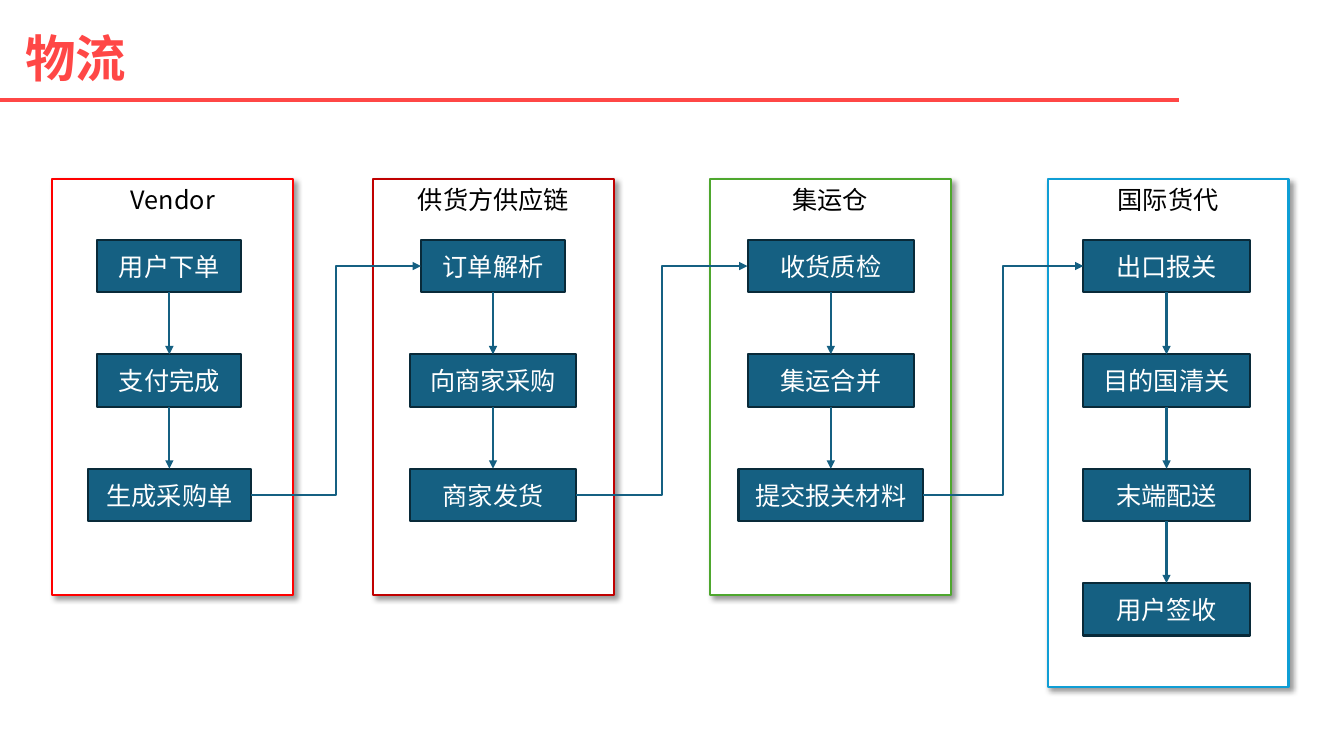
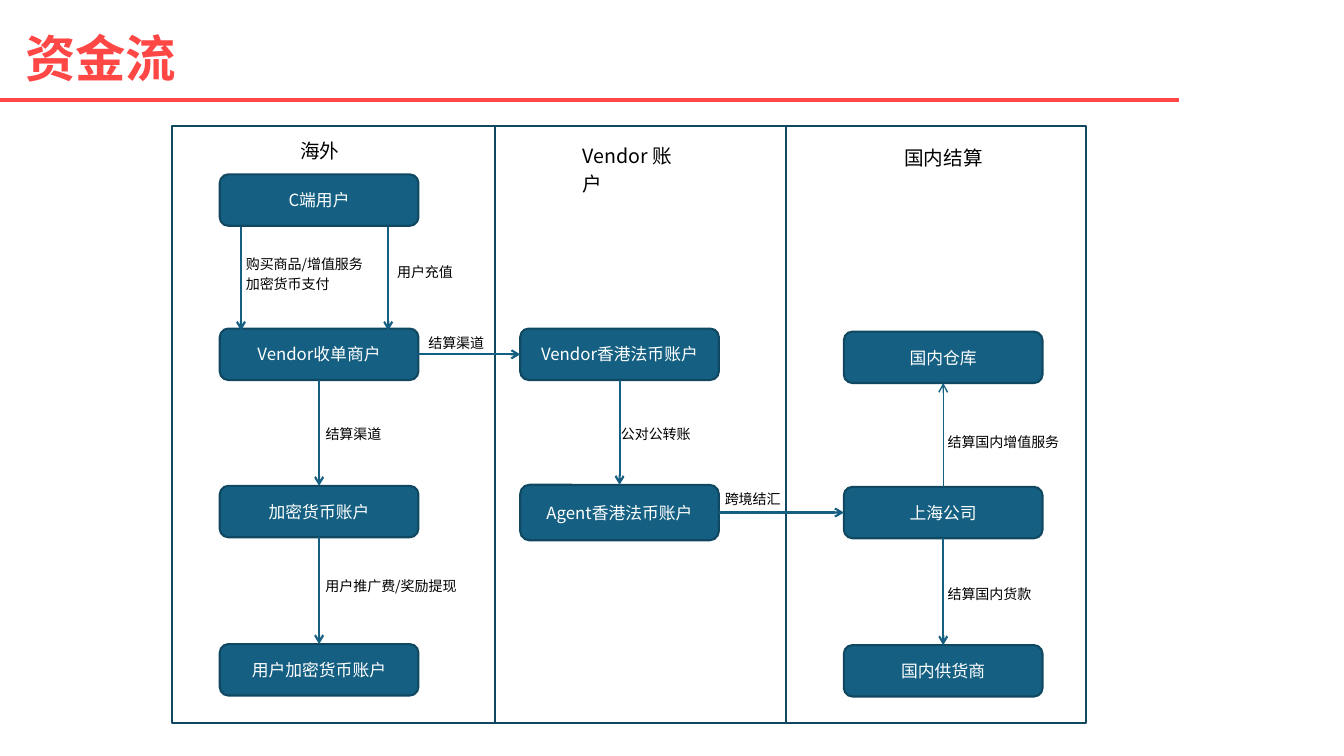
from lxml import etree
from pptx import Presentation
from pptx.dml.color import RGBColor
from pptx.enum.shapes import MSO_CONNECTOR, MSO_SHAPE
from pptx.enum.text import MSO_ANCHOR, PP_ALIGN
from pptx.oxml import parse_xml
from pptx.oxml.ns import nsdecls, qn
from pptx.util import Inches, Pt

RECT, ROUND = MSO_SHAPE.RECTANGLE, MSO_SHAPE.ROUNDED_RECTANGLE
LINE, ELBOW = MSO_CONNECTOR.STRAIGHT, MSO_CONNECTOR.ELBOW
TOP, MID = MSO_ANCHOR.TOP, MSO_ANCHOR.MIDDLE
LEFT, CENTER = PP_ALIGN.LEFT, PP_ALIGN.CENTER
NORTH, WEST, SOUTH, EAST = range(4)

THEME = {
    "font": "Noto Sans CJK SC",
    "red": "FF4746", "blue": "156082", "edge": "092A39", "frame": "104862",
    "white": "FFFFFF", "black": "000000",
    "title": 36, "step": 18, "head": 14, "node": 12, "note": 10,
}
SHADOW = (
    f'<a:effectLst {nsdecls("a")}><a:outerShdw blurRad="50800" dist="38100" '
    'dir="2700000" algn="tl" rotWithShape="0"><a:srgbClr val="000000">'
    '<a:alpha val="40000"/></a:srgbClr></a:outerShdw></a:effectLst>'
)


def box(slide, kind, rect, text="", size="step", ink="white", fill="white",
        edge="frame", anchor=MID, align=CENTER, space=1.0, bold=False):
    place = [Inches(v) for v in rect]
    if kind is None:
        shape = slide.shapes.add_textbox(*place)
    else:
        shape = slide.shapes.add_shape(kind, *place)
        shape.shadow.inherit = False
        shape.fill.solid()
        shape.fill.fore_color.rgb = RGBColor.from_string(THEME[fill])
        shape.line.color.rgb = RGBColor.from_string(THEME.get(edge, edge))
        shape.line.width = Pt(1.5)
    frame = shape.text_frame
    frame.word_wrap = True
    frame.vertical_anchor = anchor
    frame.text = text
    for para in frame.paragraphs:
        para.alignment = align
        para.line_spacing = space
        for run in para.runs:
            looks = {"name": THEME["font"], "size": Pt(THEME[size]), "bold": bold}
            for key, value in looks.items():
                setattr(run.font, key, value)
            run.font.color.rgb = RGBColor.from_string(THEME[ink])
            east = etree.SubElement(run.font._element, qn("a:ea"))
            east.set("typeface", THEME["font"])
    return shape


def link(slide, kind, ends=(0, 0, 0, 0), start=None, stop=None,
         tip=None, ink="blue", width=1.5):
    line = slide.shapes.add_connector(kind, *[Inches(v) for v in ends])
    if start:
        line.begin_connect(*start)
        line.end_connect(*stop)
    line.line.color.rgb = RGBColor.from_string(THEME[ink])
    line.line.width = Pt(width)
    if tip:
        tail = etree.SubElement(line.line._get_or_add_ln(), qn("a:tailEnd"))
        tail.set("type", tip)
    etree.SubElement(line._element.spPr, qn("a:effectLst"))


deck = Presentation()
deck.slide_width, deck.slide_height = Inches(13.33), Inches(7.5)
pages = []
for title in ("物流", "资金流"):
    page = deck.slides.add_slide(deck.slide_layouts[6])
    link(page, LINE, (0, 0.99, 11.69, 0.99), ink="red", width=3)
    box(page, None, (0.15, 0.28, 6.32, 0.65), title, "title", "red",
        align=LEFT, space=0.9, bold=True)
    pages.append(page)
goods, funds = pages

LANES = [
    ("Vendor", 0.52, 4.12, "FF0000", 1.68,
     [("用户下单", 1.43), ("支付完成", 1.43), ("生成采购单", 1.62)]),
    ("供货方供应链", 3.7, 4.12, "C00000", 4.89,
     [("订单解析", 1.43), ("向商家采购", 1.65), ("商家发货", 1.65)]),
    ("集运仓", 7.04, 4.12, "4EA72E", 8.24,
     [("收货质检", 1.65), ("集运合并", 1.65), ("提交报关材料", 1.83)]),
    ("国际货代", 10.39, 5.04, "0F9ED5", 11.57,
     [("出口报关", 1.65), ("目的国清关", 1.65), ("末端配送", 1.65),
      ("用户签收", 1.65)]),
]
chains = []
for name, left, high, edge, mid, steps in LANES:
    lane = box(goods, RECT, (left, 1.78, 2.39, high), name, ink="black",
               edge=edge, anchor=TOP)
    props = lane._element.spPr
    props.remove(props.find(qn("a:effectLst")))
    props.append(parse_xml(SHADOW))
    chains.append([
        box(goods, RECT, (mid - wide / 2, 2.38 + 1.135 * row, wide, 0.52), text,
            fill="blue", edge="edge")
        for row, (text, wide) in enumerate(steps)
    ])
for chain in chains:
    for above, below in zip(chain, chain[1:]):
        link(goods, LINE, start=(above, SOUTH), stop=(below, NORTH), tip="triangle")
for chain, after in zip(chains, chains[1:]):
    link(goods, ELBOW, start=(chain[-1], EAST), stop=(after[0], WEST), tip="triangle")

for left, wide in ((7.8, 2.97), (4.91, 2.89), (1.71, 3.2)):
    box(funds, RECT, (left, 1.25, wide, 5.92))

NODES = {
    "user": ("C端用户", 2.18, 1.73, 0.51),
    "shop": ("Vendor收单商户", 2.18, 3.26, 0.51),
    "coin": ("加密货币账户", 2.18, 4.82, 0.51),
    "purse": ("用户加密货币账户", 2.18, 6.39, 0.51),
    "cash": ("Vendor香港法币账户", 5.16, 3.26, 0.51),
    "bank": ("Agent香港法币账户", 5.16, 4.81, 0.55),
    "store": ("国内仓库", 8.37, 3.29, 0.51),
    "hub": ("上海公司", 8.37, 4.83, 0.51),
    "maker": ("国内供货商", 8.37, 6.4, 0.51),
}
nodes = {
    key: box(funds, ROUND, (left, top, 1.97, high), text, "node", fill="blue")
    for key, (text, left, top, high) in NODES.items()
}

for x in (2.39, 3.85):
    link(funds, LINE, (x, 2.25, x, 3.28), tip="arrow")
FLOWS = [
    ("shop", EAST, "cash", WEST, 1.5), ("shop", SOUTH, "coin", NORTH, 1.5),
    ("coin", SOUTH, "purse", NORTH, 1.5), ("cash", SOUTH, "bank", NORTH, 1.5),
    ("bank", EAST, "hub", WEST, 1.5), ("hub", NORTH, "store", SOUTH, 1),
    ("hub", SOUTH, "maker", NORTH, 1.5),
]
for source, out, target, into, width in FLOWS:
    link(funds, LINE, start=(nodes[source], out), stop=(nodes[target], into),
         tip="arrow", width=width)

NOTES = [
    ("购买商品/增值服务\n加密货币支付", 2.34, 2.45, 1.36, "note"),
    ("用户充值", 3.84, 2.53, 0.85, "note"),
    ("结算渠道", 4.15, 3.24, 0.85, "note"),
    ("结算渠道", 3.13, 4.14, 0.85, "note"),
    ("用户推广费/奖励提现", 3.13, 5.65, 1.5, "note"),
    ("公对公转账", 6.06, 4.14, 1, "note"),
    ("跨境结汇", 7.09, 4.78, 0.85, "note"),
    ("结算国内货款", 9.3, 5.73, 1.15, "note"),
    ("结算国内增值服务", 9.3, 4.22, 1.4, "note"),
    ("海外", 2.88, 1.28, 0.7, "head"),
    ("国内结算", 8.87, 1.35, 1.1, "head"),
    ("Vendor 账户", 5.68, 1.33, 1.22, "head"),
]
for text, left, top, wide, size in NOTES:
    box(funds, None, (left, top, wide, 0.3), text, size, "black",
        anchor=TOP, align=LEFT, space=1.2)

deck.save("out.pptx")
